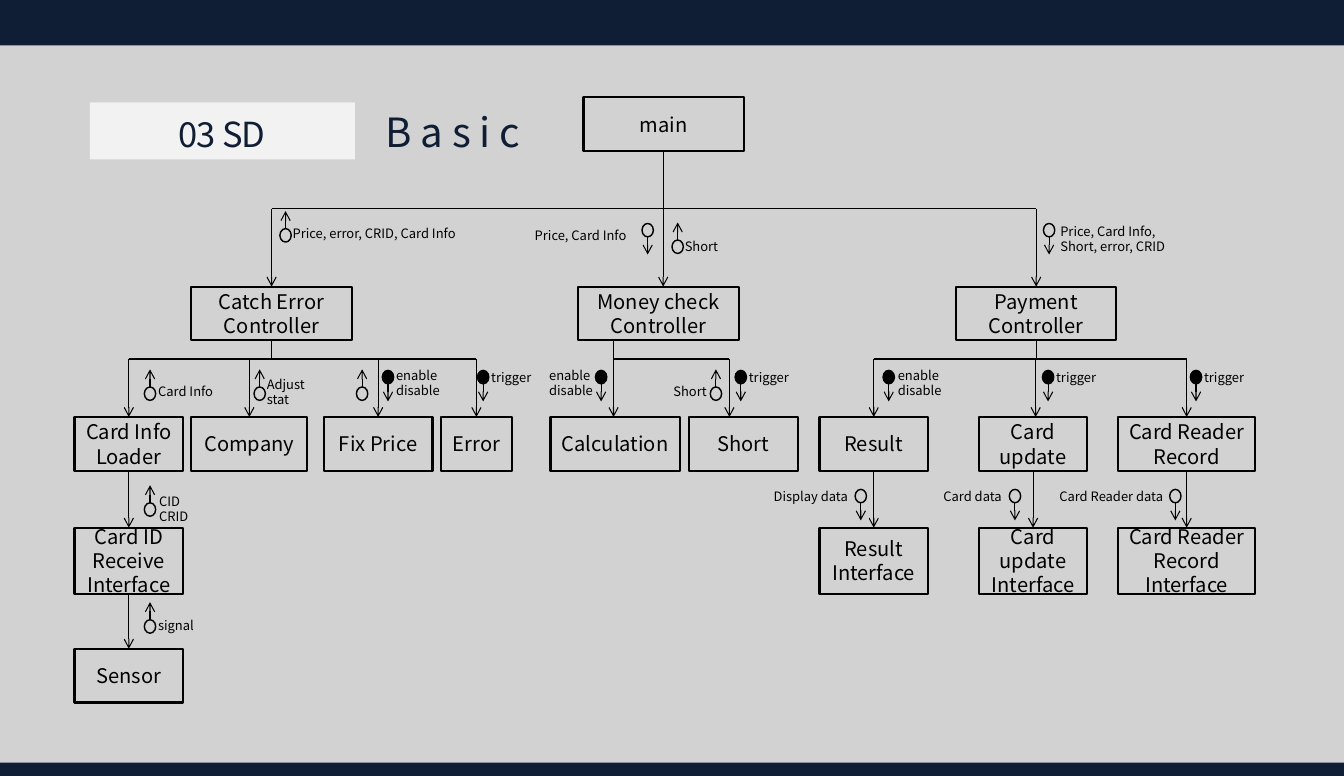
from dataclasses import dataclass
from typing import Optional

from lxml import etree
from pptx import Presentation
from pptx import util as u
from pptx.dml.color import RGBColor
from pptx.enum import shapes, text
from pptx.oxml import ns

COLORS = {"background": "D2D2D2", "navy": "0F1E35", "tag": "F2F2F2", "ink": "000000"}
FONT = "Noto Sans CJK KR"
WIDTH, HEIGHT = 12.99, 7.5
BOX_HEIGHT, TALL_BOX_HEIGHT = 0.52, 0.64
DOT_WIDTH, DOT_HEIGHT, STEM = 0.11, 0.13, 0.17


@dataclass
class Module:
    key: str
    label: str
    left: float
    top: float
    width: float = 1.05
    height: float = BOX_HEIGHT

    @property
    def center(self) -> float:
        return self.left + self.width / 2

    @property
    def bottom(self) -> float:
        return self.top + self.height


@dataclass
class Branch:
    parent: str
    bus: float
    children: dict[str, Optional[float]]  # arrow x, or None for the box centre
    trunk: Optional[float] = None


@dataclass
class Signal:
    x: float
    top: float
    up: bool
    label: str = ""
    label_left: float = 0
    label_top: float = 0
    label_width: float = 0.66
    lines: int = 1
    control: bool = False


ROW_2, ROW_3, ROW_4 = 2.77, 4.03, 5.1
MODULES = [
    Module("main", "main", 5.64, 0.94, 1.55),
    Module("catch", "Catch Error Controller", 1.85, ROW_2, 1.55),
    Module("money", "Money check Controller", 5.59, ROW_2, 1.55),
    Module("payment", "Payment Controller", 9.24, ROW_2, 1.55),
    Module("loader", "Card Info Loader", 0.72, ROW_3),
    Module("company", "Company", 1.85, ROW_3, 1.12),
    Module("fix", "Fix Price", 3.13, ROW_3),
    Module("error", "Error", 4.26, ROW_3, 0.69),
    Module("calculation", "Calculation", 5.32, ROW_3, 1.25),
    Module("short", "Short", 6.66, ROW_3),
    Module("result", "Result", 7.92, ROW_3),
    Module("update", "Card update", 9.46, ROW_3),
    Module("record", "Card Reader Record", 10.81, ROW_3, 1.32),
    Module("receive", "Card ID Receive Interface", 0.72, ROW_4, height=TALL_BOX_HEIGHT),
    Module("result_ui", "Result\nInterface", 7.92, ROW_4, height=TALL_BOX_HEIGHT),
    Module("update_ui", "Card update\nInterface", 9.46, ROW_4, height=TALL_BOX_HEIGHT),
    Module("record_ui", "Card Reader Record\nInterface", 10.81, ROW_4, 1.32, TALL_BOX_HEIGHT),
    Module("sensor", "Sensor", 0.72, 6.27),
]
BRANCHES = [
    Branch("main", 2.02, {"catch": None, "money": 6.41, "payment": None}),
    Branch("catch", 3.47, {"loader": None, "company": None, "fix": None, "error": None}),
    Branch("money", 3.47, {"calculation": 5.93, "short": 7.05}, trunk=5.93),
    Branch("payment", 3.47, {"result": None, "update": 10.01, "record": None}),
]
CALLS = [("loader", "receive"), ("receive", "sensor"), ("result", "result_ui"),
         ("update", "update_ui"), ("record", "record_ui")]
DATA_UP, DATA_DOWN, CONTROL = 3.74, 4.73, 3.58
SIGNALS = [
    Signal(2.76, 2.21, True, "Price, error, CRID, Card Info", 2.73, 2.13, 1.85),
    Signal(6.26, 2.16, False, "Price, Card Info", 5.07, 2.15, 1.35),
    Signal(6.55, 2.32, True, "Short", 6.52, 2.26, 0.58),
    Signal(10.14, 2.16, False, "Price, Card Info, Short, error, CRID", 10.15, 2.11, 1.35, 2),
    Signal(1.45, DATA_UP, True, "Card Info", 1.43, 3.66, 0.79),
    Signal(2.51, DATA_UP, True, "Adjust\nstat", 2.48, 3.59, 0.65, 2),
    Signal(3.5, DATA_UP, True),
    Signal(6.92, DATA_UP, True, "Short", 6.41, 3.66, 0.58),
    Signal(1.45, 4.86, True, "CID\nCRID", 1.44, 4.72, 0.64, 2),
    Signal(1.45, 5.99, True, "signal", 1.43, 5.92, 0.64),
    Signal(8.32, DATA_DOWN, False, "Display data", 7.38, 4.67, 1),
    Signal(9.81, DATA_DOWN, False, "Card data", 9.02, 4.67, 0.81),
    Signal(11.36, DATA_DOWN, False, "Card Reader data", 10.14, 4.67, 1.28),
]
SIGNALS += [Signal(x, CONTROL, False, "enable\ndisable", left, 3.5, lines=2, control=True)
            for x, left in ((3.75, 3.73), (5.81, 5.21), (8.59, 8.58))]
SIGNALS += [Signal(x, CONTROL, False, "trigger", x - 0.02, 3.52, control=True)
            for x in (4.67, 7.16, 10.13, 11.56)]


def rgb(name: str) -> RGBColor:
    return RGBColor.from_string(COLORS[name])


def write(shape, label: str, size: float, color: str = "ink", centered: bool = False,
          spacing: int = 0) -> None:
    frame = shape.text_frame
    frame.word_wrap = True
    frame.text = label
    for paragraph in frame.paragraphs:
        paragraph.alignment = text.PP_ALIGN.CENTER if centered else text.PP_ALIGN.LEFT
        paragraph.line_spacing = u.Pt(size * 1.2)
        font = paragraph.font
        font.name, font.size = FONT, u.Pt(size)
        font.color.rgb = rgb(color)
        if spacing:
            paragraph._p.pPr.find(ns.qn("a:defRPr")).set("spc", str(spacing))


def add_label(slide, label: str, left: float, top: float, width: float, height: float,
              size: float, **style) -> None:
    box = slide.shapes.add_textbox(*map(u.Inches, (left, top, width, height)))
    write(box, label, size, **style)
    box.text_frame.auto_size = text.MSO_AUTO_SIZE.SHAPE_TO_FIT_TEXT


def add_figure(slide, kind, left: float, top: float, width: float, height: float,
               fill: Optional[str] = None, line: float = 0):
    shape = slide.shapes.add_shape(kind, *map(u.Inches, (left, top, width, height)))
    shape.shadow.inherit = False
    if fill:
        shape.fill.solid()
        shape.fill.fore_color.rgb = rgb(fill)
    else:
        shape.fill.background()
    if line:
        shape.line.color.rgb = rgb("ink")
        shape.line.width = u.Pt(line)
    else:
        shape.line.fill.background()
    return shape


def add_line(slide, x1: float, y1: float, x2: float, y2: float, arrow: bool = False):
    line = slide.shapes.add_connector(
        shapes.MSO_CONNECTOR.STRAIGHT, *map(u.Inches, (x1, y1, x2, y2)))
    line.line.color.rgb = rgb("ink")
    line.line.width = u.Pt(0.75)
    if arrow:
        etree.SubElement(line.line._get_or_add_ln(), ns.qn("a:tailEnd"), type="arrow")
    etree.SubElement(line._element.spPr, ns.qn("a:effectLst"))
    return line


def add_branch(slide, branch: Branch, modules: dict, boxes: dict) -> None:
    parent = modules[branch.parent]
    trunk_x = branch.trunk or parent.center
    trunk = add_line(slide, trunk_x, parent.bottom, trunk_x, branch.bus)
    if branch.trunk is None:
        trunk.begin_connect(boxes[branch.parent], 2)
    ends = {key: x or modules[key].center for key, x in branch.children.items()}
    add_line(slide, min(ends.values()), branch.bus, max(ends.values()), branch.bus)
    for key, x in ends.items():
        arrow = add_line(slide, x, branch.bus, x, modules[key].top, arrow=True)
        if branch.children[key] is None:
            arrow.end_connect(boxes[key], 0)


def add_signal(slide, signal: Signal) -> None:
    add_figure(slide, shapes.MSO_SHAPE.OVAL, signal.x - DOT_WIDTH / 2, signal.top,
               DOT_WIDTH, DOT_HEIGHT, "ink" if signal.control else None, 1)
    start = signal.top if signal.up else signal.top + DOT_HEIGHT
    end = start - STEM if signal.up else start + STEM
    add_line(slide, signal.x, start, signal.x, end, arrow=True)
    if signal.label:
        add_label(slide, signal.label, signal.label_left, signal.label_top,
                  signal.label_width, 0.1 + 0.15 * signal.lines, 9)


def main() -> None:
    presentation = Presentation()
    presentation.slide_width, presentation.slide_height = u.Inches(WIDTH), u.Inches(HEIGHT)
    slide = presentation.slides.add_slide(presentation.slide_layouts[5])
    slide.background.fill.solid()
    slide.background.fill.fore_color.rgb = rgb("background")

    # Bands, section tag and title
    rectangle = shapes.MSO_SHAPE.RECTANGLE
    add_figure(slide, rectangle, 0, 0, WIDTH, 0.44, "navy")
    add_figure(slide, rectangle, 0, 7.37, WIDTH, 0.13, "navy")
    add_figure(slide, rectangle, 0.87, 0.99, 2.56, 0.55, "tag")
    add_label(slide, "03 SD", 1.07, 1.04, 2.15, 0.5, 24, color="navy", centered=True, spacing=-50)
    title = slide.shapes.title
    title.left, title.top, title.width, title.height = map(u.Inches, (3.63, 0.99, 8.55, 0.57))
    write(title, "Basic", 28, "navy", spacing=600)
    title.text_frame.vertical_anchor = text.MSO_ANCHOR.TOP
    title.text_frame.auto_size = text.MSO_AUTO_SIZE.NONE

    # Module boxes
    modules = {module.key: module for module in MODULES}
    boxes = {}
    for module in MODULES:
        box = add_figure(slide, rectangle, module.left, module.top,
                         module.width, module.height, line=1.5)
        write(box, module.label, 14, centered=True)
        box.text_frame.vertical_anchor = text.MSO_ANCHOR.MIDDLE
        boxes[module.key] = box

    # Calls between modules
    for branch in BRANCHES:
        add_branch(slide, branch, modules, boxes)
    for caller, callee in CALLS:
        x = modules[caller].center
        arrow = add_line(slide, x, modules[caller].bottom, x, modules[callee].top, arrow=True)
        arrow.begin_connect(boxes[caller], 2)
        arrow.end_connect(boxes[callee], 0)

    # Data and control signals
    for signal in SIGNALS:
        add_signal(slide, signal)
    presentation.save("out.pptx")


if __name__ == "__main__":
    main()
